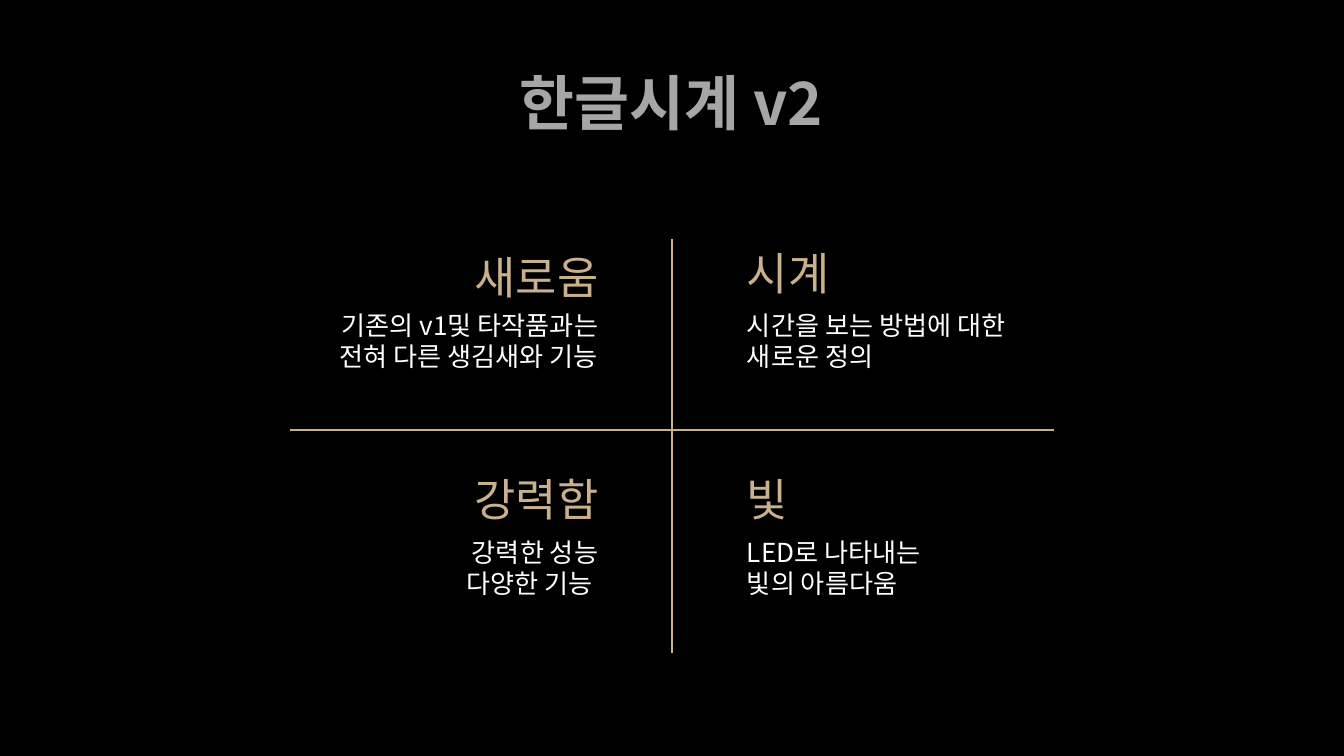
from lxml.etree import SubElement
from pptx import Presentation
from pptx.dml.color import RGBColor
from pptx.enum.shapes import MSO_CONNECTOR
from pptx.enum.text import MSO_ANCHOR, PP_ALIGN
from pptx.oxml.ns import qn
from pptx.util import Inches, Pt

BLACK = RGBColor(0x00, 0x00, 0x00)
WHITE = RGBColor(0xFF, 0xFF, 0xFF)
GOLD = RGBColor(0xC9, 0xB1, 0x8E)
GRAY = RGBColor(0xA6, 0xA6, 0xA6)
FONT = "Noto Sans CJK KR"


class SlideBuilder:
    def __init__(self, prs):
        self.s = prs.slides.add_slide(prs.slide_layouts[6])
        fill = self.s.background.fill
        fill.solid()
        fill.fore_color.rgb = BLACK

    def line(self, x1, y1, x2, y2):
        sp = self.s.shapes.add_connector(
            MSO_CONNECTOR.STRAIGHT, Inches(x1), Inches(y1), Inches(x2), Inches(y2))
        sp.line.color.rgb = GOLD
        sp.line.width = Pt(1.5)
        SubElement(sp._element.spPr, qn("a:effectLst"))

    def text(self, x, y, w, h, text, size, color, align,
             anchor=MSO_ANCHOR.MIDDLE, bold=False, spacing=None):
        sp = self.s.shapes.add_textbox(Inches(x), Inches(y), Inches(w), Inches(h))
        tf = sp.text_frame
        tf.word_wrap = True
        tf.vertical_anchor = anchor
        tf.margin_left = tf.margin_right = Inches(0.1)
        tf.margin_top = tf.margin_bottom = Inches(0.1)
        tf.text = text
        for p in tf.paragraphs:
            p.alignment = align
            p.line_spacing = spacing
            for r in p.runs:
                r.font.size = Pt(size)
                r.font.bold = bold
                r.font.color.rgb = color
                r.font.name = FONT
                # Korean glyphs take the East Asian typeface
                SubElement(r._r.rPr, qn("a:ea"), typeface=FONT)

    def quadrant(self, x, heading_y, body_y, heading, body, align, spacing=None):
        self.text(x, heading_y, 2.24, 0.54, heading, 24, GOLD, align, spacing=spacing)
        self.text(x, body_y, 2.24, 0.74, body, 14, WHITE, align, MSO_ANCHOR.TOP)


def main():
    prs = Presentation()
    prs.slide_width = Inches(10)
    prs.slide_height = prs.slide_width * 9 // 16
    b = SlideBuilder(prs)

    # Cross that divides the quadrants
    b.line(5, 1.78, 5, 4.86)
    b.line(7.84, 3.2, 2.16, 3.2)

    # Four features
    left, right = 2.31, 5.46
    top, bottom = (1.76, 2.2), (3.44, 3.89)
    b.quadrant(left, *top, "새로움", "기존의 v1및 타작품과는 전혀 다른 생김새와 기능",
               PP_ALIGN.RIGHT, spacing=1.15)
    b.quadrant(right, *top, "시계", "시간을 보는 방법에 대한 새로운 정의", PP_ALIGN.LEFT)
    b.quadrant(left, *bottom, "강력함", "강력한 성능\n다양한 기능 ", PP_ALIGN.RIGHT)
    b.quadrant(right, *bottom, "빛", "LED로 나타내는\n빛의 아름다움", PP_ALIGN.LEFT)

    # Title
    b.text(1.75, 0.11, 6.49, 1.3, "한글시계 v2", 32, GRAY, PP_ALIGN.CENTER, bold=True)

    prs.save("out.pptx")


if __name__ == "__main__":
    main()
